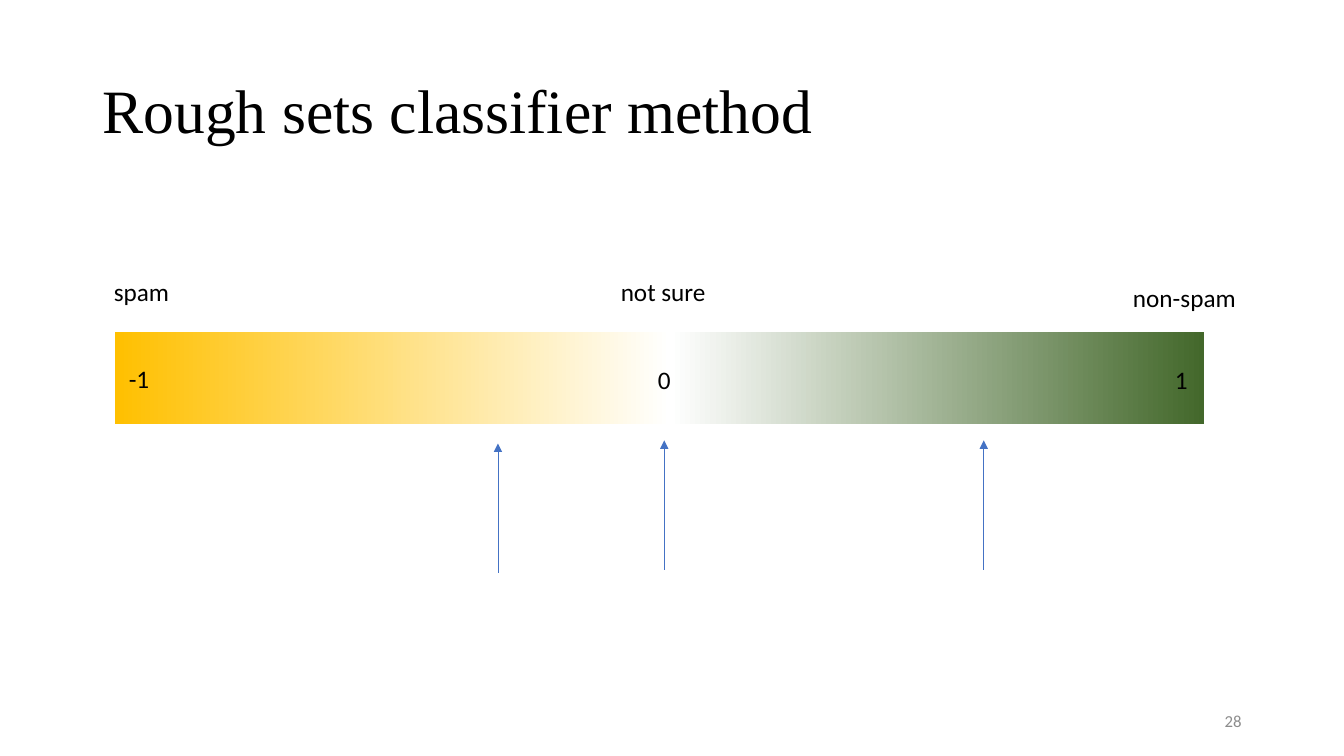
from dataclasses import dataclass

from lxml.etree import SubElement
from pptx import Presentation
from pptx.dml.color import RGBColor
from pptx.enum.shapes import MSO_CONNECTOR as Connector, MSO_SHAPE as Shape
from pptx.enum.text import MSO_ANCHOR as Anchor, PP_ALIGN as Align
from pptx.oxml.ns import qn
from pptx.util import Pt


@dataclass(frozen=True)
class Theme:
    title_font: str = "Times New Roman"
    body_font: str = "Calibri"
    title_size: int = 44
    label_size: int = 18
    number_size: int = 12
    text: str = "000000"
    number: str = "8C8C8C"
    arrow: str = "4472C4"
    scale: tuple = ((0, "FFC000"), (51, "FFFFFF"), (100, "43682B"))


theme = Theme()


def write(shape, text, font=theme.body_font, size=theme.label_size,
          color=theme.text, align=Align.CENTER, anchor=Anchor.TOP, spacing=1.0):
    frame = shape.text_frame
    frame.word_wrap = True
    frame.vertical_anchor = anchor
    paragraph = frame.paragraphs[0]
    paragraph.alignment = align
    paragraph.line_spacing = spacing
    run = paragraph.add_run()
    run.text = text
    run.font.name = font
    run.font.size = Pt(size)
    run.font.color.rgb = RGBColor.from_string(color)


presentation = Presentation()
presentation.slide_width, presentation.slide_height = Pt(960), Pt(540)
slide = presentation.slides.add_slide(presentation.slide_layouts[5])
shapes = slide.shapes

# Title
title = shapes.title
title.left, title.top, title.width, title.height = Pt(66), Pt(28.75), Pt(828), Pt(104.4)
write(title, "Rough sets classifier method", font=theme.title_font,
      size=theme.title_size, align=Align.LEFT, anchor=Anchor.MIDDLE, spacing=0.9)

# Gradient scale from spam to non-spam
scale_bar = shapes.add_shape(Shape.RECTANGLE, Pt(82.2), Pt(237), Pt(777.6), Pt(66))
scale_bar.shadow.inherit = False
scale_bar.line.fill.background()
scale_bar.fill.gradient()
scale_bar.fill.gradient_angle = 0
stops = next(scale_bar.element.iter(qn("a:gsLst")))
for stop in list(stops):
    stops.remove(stop)
for percent, color in theme.scale:
    stop = SubElement(stops, qn("a:gs"), pos=str(percent * 1000))
    SubElement(stop, qn("a:srgbClr"), val=color)

# Arrows pointing up at the scale
for x, tip in ((474.5, 314.6), (702.7, 314.6), (355.7, 316.8)):
    arrow = shapes.add_connector(Connector.STRAIGHT, Pt(x), Pt(tip + 92.2), Pt(x), Pt(tip))
    arrow.line.color.rgb = RGBColor.from_string(theme.arrow)
    arrow.line.width = Pt(0.5)
    SubElement(arrow.line._get_or_add_ln(), qn("a:tailEnd"), type="triangle")
    SubElement(arrow.element.spPr, qn("a:effectLst"))

# Scale values and class names
for text, left, top, width in (
    ("0", 452.2, 257, 44.6),
    ("1", 821.5, 257, 44.6),
    ("-1", 77, 255.6, 44.6),
    ("non-spam", 798.5, 198, 95),
    ("spam", 66.2, 193.7, 69.8),
    ("not sure", 426.2, 193.7, 95),
):
    label = shapes.add_textbox(Pt(left), Pt(top), Pt(width), Pt(29))
    write(label, text)

# Slide number
slide_number = shapes.add_textbox(Pt(678), Pt(500.5), Pt(216), Pt(28.75))
write(slide_number, "28", size=theme.number_size, color=theme.number,
      align=Align.RIGHT, anchor=Anchor.MIDDLE)

presentation.save("out.pptx")
